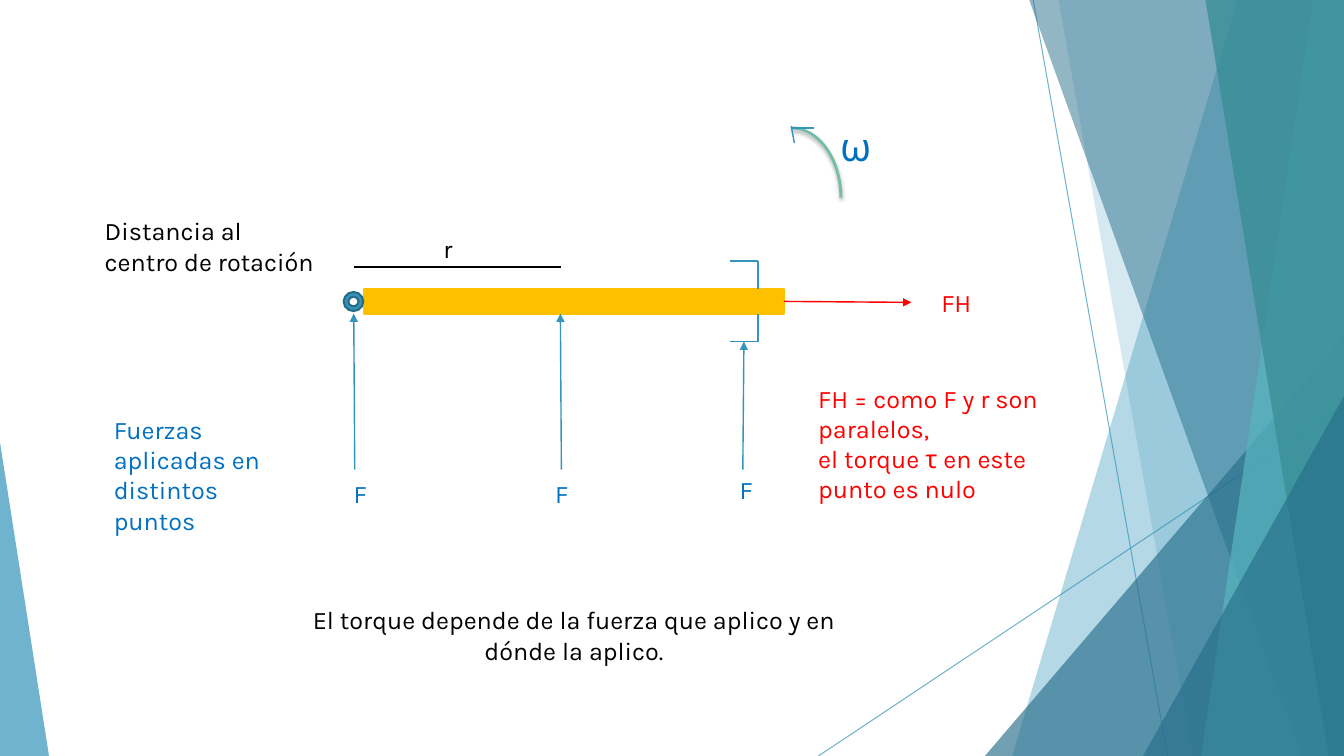
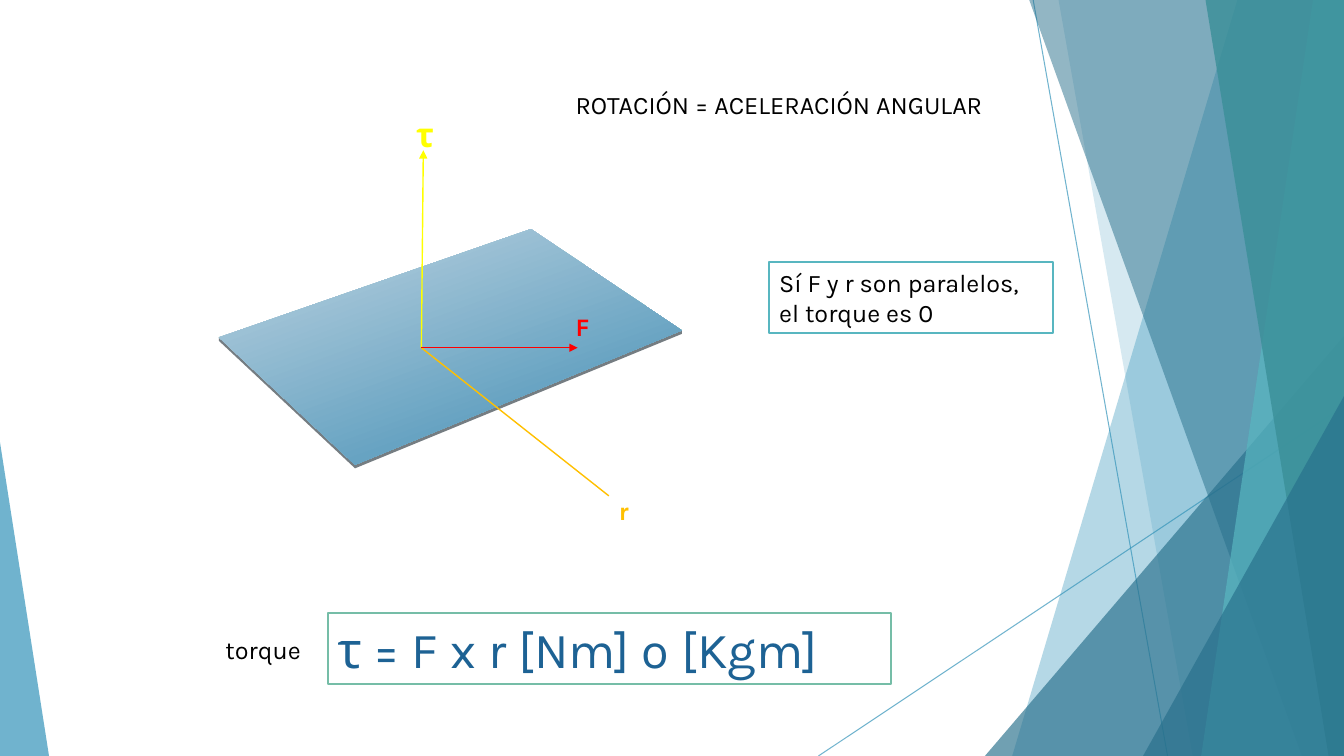
"""Builds two slides on torque, with a shared faceted backdrop."""
from pptx import Presentation
from pptx.dml.color import RGBColor
from pptx.enum.shapes import MSO_CONNECTOR, MSO_SHAPE
from pptx.enum.text import MSO_AUTO_SIZE, PP_ALIGN
from pptx.oxml.ns import qn
from pptx.util import Pt
from lxml import etree

STRAIGHT = MSO_CONNECTOR.STRAIGHT
RECTANGLE = MSO_SHAPE.RECTANGLE
TRIANGLE = MSO_SHAPE.ISOSCELES_TRIANGLE
DONUT = MSO_SHAPE.DONUT
ARC = MSO_SHAPE.ARC
GROW = MSO_AUTO_SIZE.SHAPE_TO_FIT_TEXT
LEFT, CENTER = PP_ALIGN.LEFT, PP_ALIGN.CENTER

WIDTH, HEIGHT = 960, 540
FONT = "Karla"
COLORS = {
    "white": "FFFFFF", "black": "000000", "red": "FF0000", "blue": "0070C0",
    "yellow": "FFFF00", "amber": "FFC000", "teal": "3494BA", "rim": "266D8A",
    "deep": "276F8B", "aqua": "58B6C0", "sea": "3A8F98", "green": "75BDA7",
    "formula": "1D6294", "plate_top": "BFD4E1", "plate_bottom": "67A3C2",
    "plate_edge": "757D82",
}


def rgb(name):
    return RGBColor.from_string(COLORS[name])


def set_alpha(s, percent):
    for color in s.element.spPr.iter(qn("a:srgbClr")):
        etree.SubElement(color, qn("a:alpha"), val=str(percent * 1000))


def paint(s, fill=None, line=None, weight=1.5):
    if fill:
        s.fill.solid()
        s.fill.fore_color.rgb = rgb(fill)
    else:
        s.fill.background()
    if line:
        s.line.color.rgb = rgb(line)
        s.line.width = Pt(weight)
    else:
        s.line.fill.background()


def add_preset(slide, kind, box, fill=None, line=None, weight=1.5):
    s = slide.shapes.add_shape(kind, *map(Pt, box))
    s.shadow.inherit = False
    paint(s, fill, line, weight)
    return s


def add_polygon(slide, points, fill):
    corners = [(Pt(x), Pt(y)) for x, y in points]
    builder = slide.shapes.build_freeform(*corners[0])
    builder.add_line_segments(corners[1:], close=True)
    s = builder.convert_to_shape()
    s.shadow.inherit = False
    paint(s, fill)
    return s


def add_line(slide, start, end, color="teal", weight=1, arrow=False):
    s = slide.shapes.add_connector(STRAIGHT, *map(Pt, start + end))
    s.line.color.rgb = rgb(color)
    s.line.width = Pt(weight)
    if arrow:
        etree.SubElement(s.line._get_or_add_ln(), qn("a:tailEnd"), type="triangle")
    etree.SubElement(s.element.spPr, qn("a:effectLst"))
    return s


def add_text(slide, box, lines, color="black", size=18, bold=False,
             align=LEFT, outline=None):
    s = slide.shapes.add_textbox(*map(Pt, box))
    if outline:
        paint(s, "white", outline)
    tf = s.text_frame
    tf.word_wrap = True
    tf.auto_size = GROW
    tf.text = lines
    for p in tf.paragraphs:
        p.alignment = align
        for r in p.runs:
            r.font.name = FONT
            r.font.size = Pt(size)
            r.font.bold = bold
            r.font.color.rgb = rgb(color)


def add_triangle(slide, box, apex, fill, alpha):
    s = add_preset(slide, TRIANGLE, box, fill)
    s.adjustments[0] = apex
    set_alpha(s, alpha)


def add_facet(slide, top_x, bottom_x, fill, alpha):
    points = [(top_x, -0.6), (WIDTH, -0.6), (WIDTH, HEIGHT), (bottom_x, HEIGHT)]
    set_alpha(add_polygon(slide, points, fill), alpha)


def add_soft_shadow(s):
    shadow = etree.SubElement(
        s.element.spPr.find(qn("a:effectLst")), qn("a:outerShdw"),
        blurRad=str(Pt(3)), dist=str(Pt(2)), dir="5400000", rotWithShape="0")
    color = etree.SubElement(shadow, qn("a:srgbClr"), val=COLORS["black"])
    etree.SubElement(color, qn("a:alpha"), val="35000")


def build_backdrop(slide):
    for start, end in (((738, 0), (834, HEIGHT)), ((WIDTH, 290), (584.6, HEIGHT))):
        set_alpha(add_line(slide, start, end, weight=0.75), 70)
    add_facet(slide, 884, 723, "teal", 36)
    add_facet(slide, 756, 852, "teal", 20)
    add_triangle(slide, (703.5, 240, 256.5, 300), 1, "deep", 66)
    add_facet(slide, 735, 930, "deep", 50)
    add_facet(slide, 938, 858, "aqua", 70)
    add_facet(slide, 861, 949, "sea", 80)
    add_triangle(slide, (816.5, 283, 143.5, 257), 1, "deep", 66)
    add_triangle(slide, (0, 316, 35, 224), 0, "teal", 70)


def move_to_layout(slide):
    layout = slide.slide_layout
    for placeholder in list(layout.placeholders):
        layout.shapes.element.remove(placeholder.element)
    for s in list(slide.shapes):
        layout.shapes.element.append(s.element)


def build_lever(slide):
    beam = add_preset(slide, RECTANGLE, (260, 206.6, 300, 17.4), "amber", "amber")
    for edge, tip in ((206.6, 186.5), (224, 244)):
        add_line(slide, (541.5, edge), (541.5, tip))
        add_line(slide, (541.5, tip), (521.3, tip))
    add_preset(slide, DONUT, (245.5, 208.6, 14, 13.6), "teal", "rim")

    forces = ((253.4, 252.7, 224, 245.5, 338.4),
              (401, 400.3, 224, 389.5, 338.4),
              (530.6, 531.4, 244, 521.3, 335.5))
    for foot, tip, tip_y, label_x, label_y in forces:
        add_line(slide, (foot, 335.5), (tip, tip_y), arrow=True)
        add_text(slide, (label_x, label_y, 144, 29), "F", "blue")
    pull = add_line(slide, (560, 215.3), (651, 216), "red", arrow=True)
    pull.begin_connect(beam, 3)
    add_text(slide, (665.3, 201.6, 144, 29), "FH", "red")

    spin = add_preset(slide, ARC, (530, 91.4, 70.6, 99.4), None, "green", 2)
    add_soft_shadow(spin)
    add_line(slide, (565.2, 90), (567.4, 102.2))
    add_line(slide, (565.2, 91.4), (581.8, 91.4))
    add_text(slide, (593.3, 84.2, 130, 41), "ω", "blue", 28)

    add_line(slide, (252.7, 190.8), (401, 190.8), "black")
    add_text(slide, (309.6, 163.4, 152, 29), "r")
    add_text(slide, (74.2, 292.3, 148.3, 73),
             "Fuerzas aplicadas en distintos puntos", "blue")
    add_text(slide, (67.7, 150.5, 201, 51), "Distancia al\ncentro de rotación")
    add_text(slide, (577.4, 270, 175.7, 94),
             "FH = como F y r son paralelos,\nel torque τ en este punto es nulo", "red")
    add_text(slide, (206.6, 428.4, 406.8, 51),
             "El torque depende de la fuerza que aplico y en dónde la aplico.",
             align=CENTER)


def build_plate(slide):
    face = [(156.4, 241), (379.3, 163.6), (487, 236), (253.6, 332)]
    left, _, right, front = face
    edge = [left, front, right] + [(x, y + 2.5) for x, y in (right, front, left)]
    add_polygon(slide, edge, "plate_edge")
    plate = add_polygon(slide, face, "plate_top")
    plate.fill.gradient()
    plate.fill.gradient_angle = 290
    stops = zip(plate.fill.gradient_stops, ("plate_top", "plate_bottom"), (0, 0.7))
    for stop, color, position in stops:
        stop.color.rgb = rgb(color)
        stop.position = position


def build_vectors(slide):
    build_plate(slide)
    origin = (301, 248.4)
    vectors = (("τ", "yellow", (302.4, 107.3), True, (290.2, 77.8), 24),
               ("r", "amber", (434.9, 354.2), False, (434.9, 350), 18),
               ("F", "red", (412.6, 248.4), True, (404, 218.9), 18))
    for name, color, tip, arrow, (x, y), size in vectors:
        add_line(slide, origin, tip, color, arrow=arrow)
        add_text(slide, (x, y, 118, 29), name, color, size, bold=True)

    add_text(slide, (404, 60.5, 329.8, 29), "ROTACIÓN = ACELERACIÓN ANGULAR")
    add_text(slide, (234, 437.8, 402.5, 51), "τ = F x r [Nm] o [Kgm]",
             "formula", 36, outline="green")
    add_text(slide, (154, 449.3, 92, 29), "torque")
    add_text(slide, (549.4, 187.2, 203, 51),
             "Sí F y r son paralelos, el torque es 0", outline="aqua")


def main():
    prs = Presentation()
    prs.slide_width, prs.slide_height = Pt(WIDTH), Pt(HEIGHT)
    blank = prs.slide_layouts[6]
    lever = prs.slides.add_slide(blank)
    build_backdrop(lever)
    move_to_layout(lever)
    build_lever(lever)
    build_vectors(prs.slides.add_slide(blank))
    prs.save("out.pptx")


if __name__ == "__main__":
    main()
